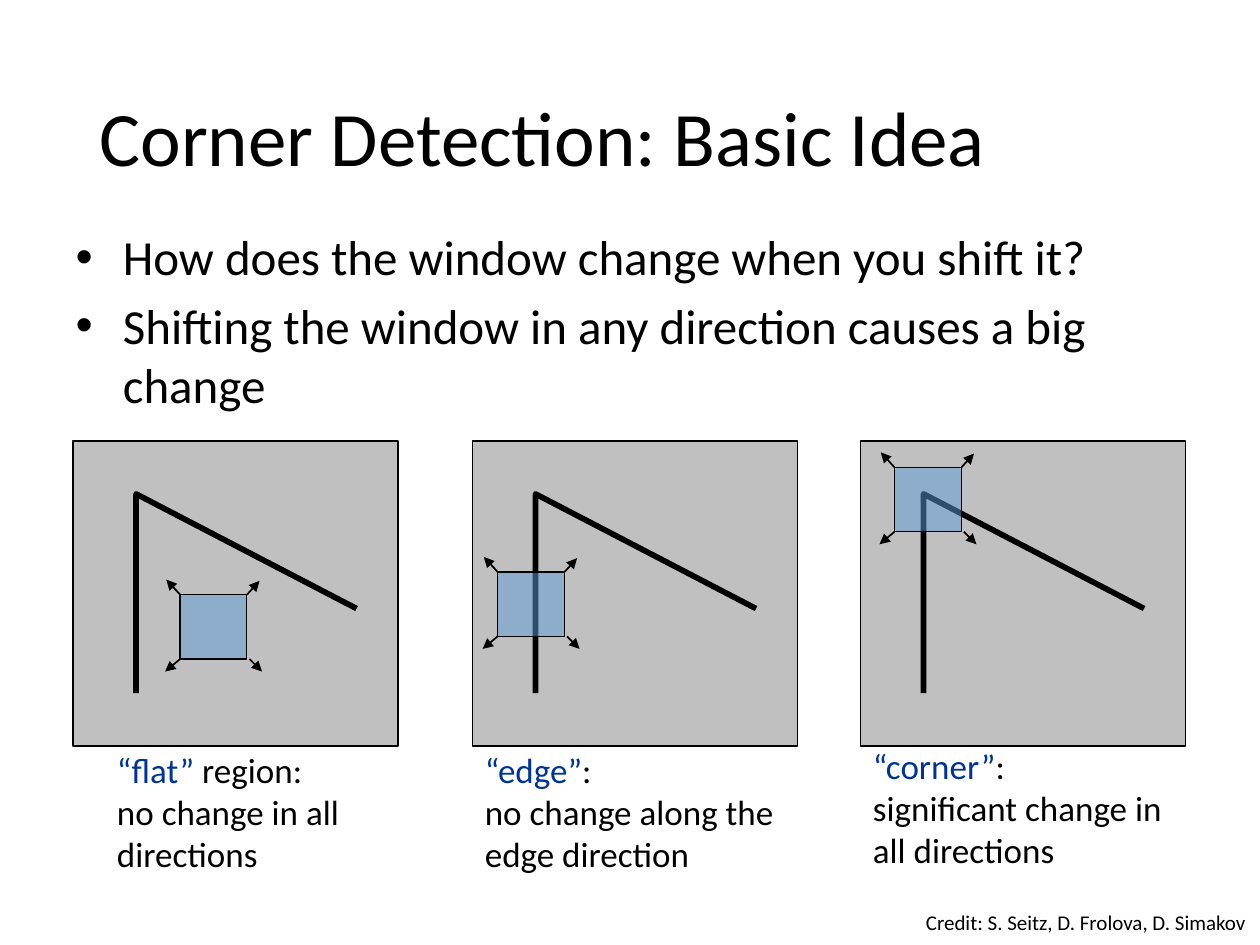
from dataclasses import dataclass

import lxml.etree
import pptx
import pptx.dml.color
import pptx.enum.shapes
import pptx.enum.text
import pptx.oxml.ns
import pptx.util
from pptx.util import Inches

qn = pptx.oxml.ns.qn
RGB = pptx.dml.color.RGBColor


@dataclass(frozen=True)
class Theme:
    font: str = "Calibri"
    text: RGB = RGB(0x00, 0x00, 0x00)
    keyword: RGB = RGB(0x00, 0x33, 0x99)
    panel: RGB = RGB(0xC0, 0xC0, 0xC0)
    window: RGB = RGB(0x5B, 0x9B, 0xD5)
    title_size: float = 44
    body_size: float = 28
    caption_size: float = 20
    credit_size: float = 12


@dataclass(frozen=True)
class Panel:
    left: float
    window_left: float
    window_top: float
    caption_left: float
    caption_top: float
    caption_width: float
    keyword: str
    rest: str
    explanation: str


THEME = Theme()
PANEL_TOP, PANEL_WIDTH, PANEL_HEIGHT = 3.5, 2.58, 2.42
WINDOW_WIDTH, WINDOW_HEIGHT = 0.53, 0.51

# Corner outline, relative to the top left of its panel
OUTLINE = [(0.5, 2.0), (0.5, 0.42), (2.25, 1.33)]

# Shift arrows: start and end, relative to the top left of the window
ARROWS = [
    ((WINDOW_WIDTH, 0), (WINDOW_WIDTH + 0.1, -0.11)),
    ((WINDOW_WIDTH + 0.02, WINDOW_HEIGHT), (WINDOW_WIDTH + 0.12, WINDOW_HEIGHT + 0.1)),
    ((0, WINDOW_HEIGHT), (-0.12, WINDOW_HEIGHT + 0.1)),
    ((0, 0), (-0.11, -0.12)),
]

PANELS = [
    Panel(0.58, 1.43, 4.72, 0.83, 5.89, 2.25,
          "“flat”", " region:", "no change in all directions"),
    Panel(3.75, 3.95, 4.54, 3.75, 5.89, 2.67,
          "“edge”", ":", "no change along the edge direction"),
    Panel(6.83, 7.1, 3.71, 6.83, 5.86, 2.67,
          "“corner”", ":", "significant change in all directions"),
]


def place(shape, left: float, top: float, width: float, height: float) -> None:
    shape.left, shape.top = Inches(left), Inches(top)
    shape.width, shape.height = Inches(width), Inches(height)


def format_run(run, size: float, color: RGB = THEME.text) -> None:
    run.font.name = THEME.font
    run.font.size = pptx.util.Pt(size)
    run.font.color.rgb = color


def format_frame(text_frame, size: float) -> None:
    text_frame.word_wrap = True
    text_frame.auto_size = pptx.enum.text.MSO_AUTO_SIZE.NONE
    for index, paragraph in enumerate(text_frame.paragraphs):
        paragraph.alignment = pptx.enum.text.PP_ALIGN.LEFT
        paragraph.space_before = pptx.util.Pt(0.2 * size if index else 0)
        for run in paragraph.runs:
            format_run(run, size)


def set_line(shape, width: float) -> None:
    shape.line.color.rgb = THEME.text
    shape.line.width = pptx.util.Pt(width)


def draw_rectangle(group, left: float, top: float, width: float, height: float, fill: RGB):
    rectangle = group.shapes.add_shape(
        pptx.enum.shapes.MSO_SHAPE.RECTANGLE,
        Inches(left), Inches(top), Inches(width), Inches(height))
    rectangle.shadow.inherit = False
    rectangle.fill.solid()
    rectangle.fill.fore_color.rgb = fill
    set_line(rectangle, 0.75)
    return rectangle


def draw_outline(group, left: float, top: float) -> None:
    points = [(Inches(left + x), Inches(top + y)) for x, y in OUTLINE]
    builder = group.shapes.build_freeform(*points[0])
    builder.add_line_segments(points[1:], close=False)
    outline = builder.convert_to_shape()
    outline.shadow.inherit = False
    outline.fill.background()
    set_line(outline, 3.25)


def draw_arrow(group, start: tuple[float, float], end: tuple[float, float]) -> None:
    arrow = group.shapes.add_connector(
        pptx.enum.shapes.MSO_CONNECTOR.STRAIGHT,
        *(Inches(value) for value in start + end))
    set_line(arrow, 1)
    lxml.etree.SubElement(arrow.line._get_or_add_ln(), qn("a:tailEnd"), type="triangle")
    lxml.etree.SubElement(arrow._element.spPr, qn("a:effectLst"))


def draw_panel(slide, panel: Panel) -> None:
    group = slide.shapes.add_group_shape()
    draw_rectangle(group, panel.left, PANEL_TOP, PANEL_WIDTH, PANEL_HEIGHT, THEME.panel)
    draw_outline(group, panel.left, PANEL_TOP)

    # Half-transparent window with its shift arrows
    window = draw_rectangle(group, panel.window_left, panel.window_top,
                            WINDOW_WIDTH, WINDOW_HEIGHT, THEME.window)
    color = window._element.spPr.find(qn("a:solidFill"))[0]
    lxml.etree.SubElement(color, qn("a:alpha"), val="50000")
    for start, end in ARROWS:
        draw_arrow(group,
                   (panel.window_left + start[0], panel.window_top + start[1]),
                   (panel.window_left + end[0], panel.window_top + end[1]))


def draw_caption(slide, panel: Panel) -> None:
    caption = slide.shapes.add_textbox(
        Inches(panel.caption_left), Inches(panel.caption_top),
        Inches(panel.caption_width), Inches(1.11))
    caption.text_frame.word_wrap = True
    heading = caption.text_frame.paragraphs[0]
    explanation = caption.text_frame.add_paragraph()
    for paragraph, text, color in [
        (heading, panel.keyword, THEME.keyword),
        (heading, panel.rest, THEME.text),
        (explanation, panel.explanation, THEME.text),
    ]:
        run = paragraph.add_run()
        run.text = text
        format_run(run, THEME.caption_size, color)


def main() -> None:
    presentation = pptx.Presentation()
    presentation.slide_width, presentation.slide_height = Inches(10), Inches(7.5)
    slide = presentation.slides.add_slide(presentation.slide_layouts[1])

    # Title
    title = slide.shapes.title
    place(title, 0.69, 0.4, 8.62, 1.45)
    title.text_frame.text = "Corner Detection: Basic Idea"
    title.text_frame.vertical_anchor = pptx.enum.text.MSO_ANCHOR.MIDDLE
    format_frame(title.text_frame, THEME.title_size)
    title.text_frame.paragraphs[0].line_spacing = 0.9

    # Bullet list
    body = slide.placeholders[1]
    place(body, 0.5, 1.75, 9, 4.95)
    body.text_frame.text = (
        "How does the window change when you shift it?\n"
        "Shifting the window in any direction causes a big change")
    format_frame(body.text_frame, THEME.body_size)

    # Three cases with captions
    for panel in PANELS:
        draw_panel(slide, panel)
        draw_caption(slide, panel)

    # Credit
    credit = slide.shapes.add_textbox(Inches(7.25), Inches(7.17), Inches(2.75), Inches(0.33))
    credit.text_frame.text = "Credit: S. Seitz, D. Frolova, D. Simakov"
    format_frame(credit.text_frame, THEME.credit_size)

    presentation.save("out.pptx")


if __name__ == "__main__":
    main()
